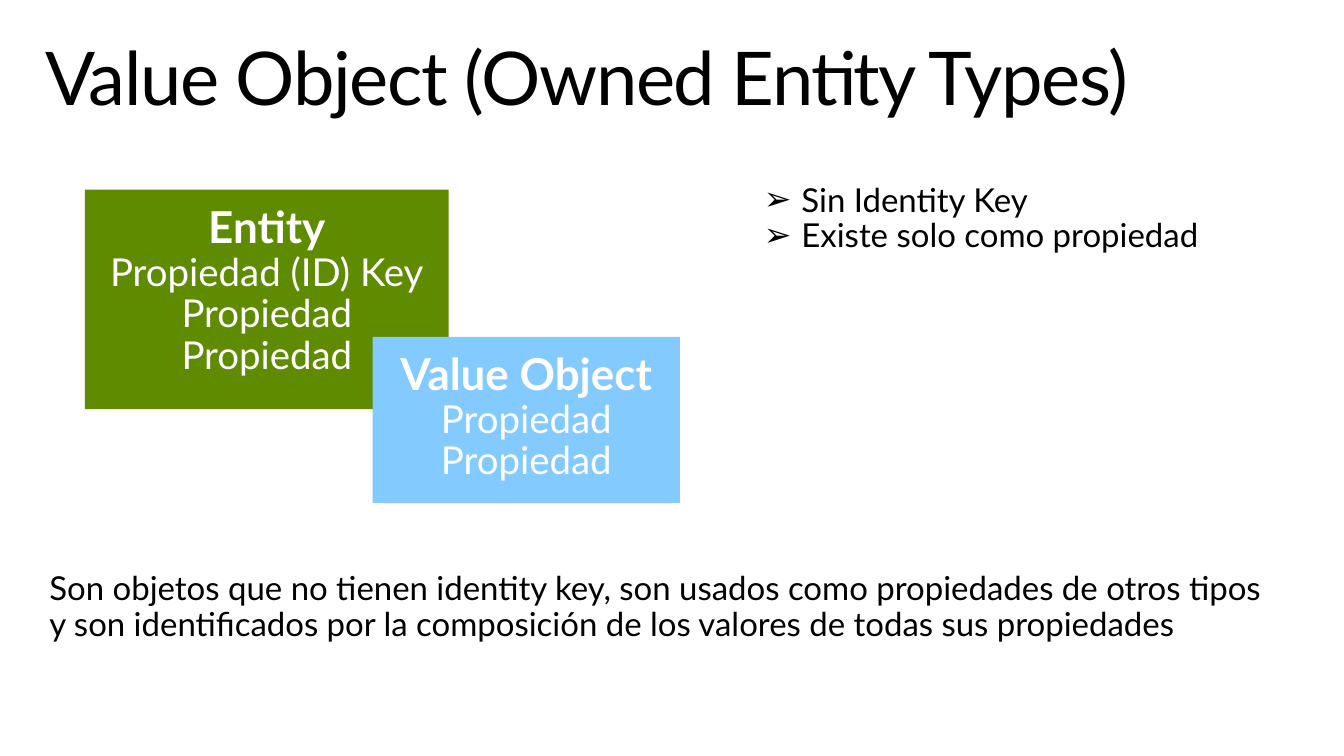
from lxml import etree
from pptx import Presentation, util as u
from pptx.dml.color import RGBColor
from pptx.enum import shapes, text
from pptx.oxml.ns import qn

WIDE, HIGH = 13.6, 7.65
COLS, ROWS = 136, 76.5
FACE, INK, PALE = "Lato", "000000", "FFFFFF"
TITLE = "Value Object (Owned Entity Types)"
CARDS = [
    ("5F8B00", (8.6, 19.2, 36.8, 22.2),
     ["Entity", "Propiedad (ID) Key", "Propiedad", "Propiedad"]),
    ("82CAFF", (37.7, 34.1, 31.1, 16.8),
     ["Value Object", "Propiedad", "Propiedad"]),
]
TRAITS = ["Sin Identity Key", "Existe solo como propiedad"]
NOTE = [
    "Son objetos que no tienen identity key, son usados como propiedades de otros tipos",
    "y son identificados por la composición de los valores de todas sus propiedades",
]


def tint(code):
    return RGBColor.from_string(code)


def area(col, row, wide, high):
    x, y = WIDE / COLS, HIGH / ROWS
    return [u.Inches(n) for n in (col * x, row * y, wide * x, high * y)]


def place(shape, cells):
    shape.left, shape.top, shape.width, shape.height = area(*cells)


def bullet(par, mark="➢", dent=0.38):
    props = par._p.get_or_add_pPr()
    props.set("marL", str(u.Inches(dent)))
    props.set("indent", str(-u.Inches(dent)))
    etree.SubElement(props, qn("a:buChar")).set("char", mark)


def write(shape, lines, sizes, ink=INK, side="LEFT", pad=(0.2, 0.16),
          wrap=True, grow=False, listed=False):
    frame = shape.text_frame
    frame.text = "\n".join(lines)
    frame.word_wrap = wrap
    fit = text.MSO_AUTO_SIZE
    frame.auto_size = fit.SHAPE_TO_FIT_TEXT if grow else fit.NONE
    frame.vertical_anchor = text.MSO_ANCHOR.TOP
    frame.margin_left = frame.margin_right = u.Inches(pad[0])
    frame.margin_top = frame.margin_bottom = u.Inches(pad[1])
    for num, par in enumerate(frame.paragraphs):
        par.alignment = text.PP_ALIGN[side]
        par.line_spacing = 0.9
        par.space_before = par.space_after = u.Pt(0)
        if listed:
            bullet(par)
        font = par.font
        font.name, font.size = FACE, u.Pt(sizes[min(num, len(sizes) - 1)])
        font.color.rgb = tint(ink)
        font.bold = len(sizes) > 1 and num == 0


def main():
    """Build the value object slide."""
    deck = Presentation()
    deck.slide_width, deck.slide_height = u.Inches(WIDE), u.Inches(HIGH)
    slide = deck.slides.add_slide(deck.slide_layouts[1])
    title, traits = slide.placeholders

    place(title, (3, 3.2, 130, 10))
    write(title, [TITLE], [54], pad=(0.16, 0.1))
    run = title.text_frame.paragraphs[0].runs[0]
    run._r.get_or_add_rPr().set("spc", "-100")

    for fill, cells, lines in CARDS:
        card = slide.shapes.add_shape(shapes.MSO_SHAPE.RECTANGLE, *area(*cells))
        card.shadow.inherit = False
        card.fill.solid()
        card.fill.fore_color.rgb = tint(fill)
        card.line.fill.background()
        write(card, lines, [32, 28], PALE, "CENTER")

    place(traits, (75.3, 17, 48.9, 10.5))
    write(traits, TRAITS, [24], wrap=False, grow=True, listed=True)

    note = slide.shapes.add_textbox(*area(3, 56.3, 130.8, 10.5))
    write(note, NOTE, [24], wrap=False, grow=True)
    deck.save("out.pptx")


if __name__ == "__main__":
    main()
